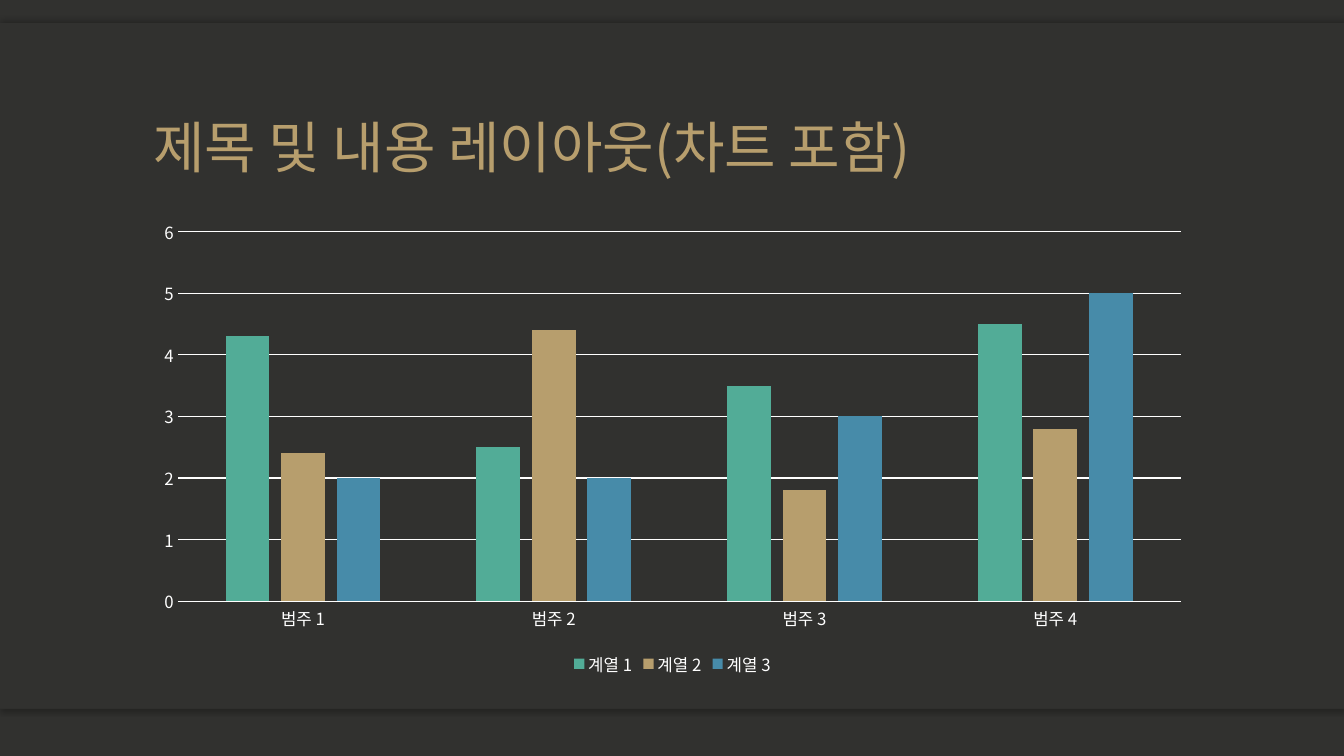
from pptx import Presentation
from pptx import oxml
from pptx.chart.data import CategoryChartData
from pptx.dml.color import RGBColor
from pptx.enum import chart as charts, shapes, text
from pptx.oxml import ns
from pptx.util import Inches, Pt

COLORS = {
    "background": "31312F",
    "white": "FFFFFF",
    "green": "52AC97",
    "gold": "B79E6D",
    "blue": "478BA9",
}
FONT = "Noto Sans CJK KR"
CATEGORIES = ["범주 1", "범주 2", "범주 3", "범주 4"]
SERIES = [
    ("계열 1", (4.3, 2.5, 3.5, 4.5), "green"),
    ("계열 2", (2.4, 4.4, 1.8, 2.8), "gold"),
    ("계열 3", (2, 2, 3, 5), "blue"),
]


def color(name):
    return RGBColor.from_string(COLORS[name])


def set_fill(fill, name):
    fill.solid()
    fill.fore_color.rgb = color(name)


def set_font(font, size, name):
    font.name = FONT
    font.size = Pt(size)
    font.color.rgb = color(name)


def add_east_asian_font(element):
    """Give Korean letters the same typeface as Latin ones."""
    for latin in list(element.iter(ns.qn("a:latin"))):
        east_asian = oxml.parse_xml(f'<a:ea {ns.nsdecls("a")}/>')
        east_asian.set("typeface", latin.get("typeface"))
        latin.addnext(east_asian)


def add_band(page, top, height, shadow_angle=None):
    """Add a full-width band, with a soft shadow if an angle is given."""
    band = page.shapes.add_shape(
        shapes.MSO_SHAPE.RECTANGLE, 0, Inches(top), Inches(13.33), Inches(height))
    set_fill(band.fill, "background")
    band.line.fill.background()
    band.shadow.inherit = False
    if shadow_angle is not None:
        effects = band.element.spPr.find(ns.qn("a:effectLst"))
        effects.append(oxml.parse_xml(
            f'<a:outerShdw {ns.nsdecls("a")} blurRad="{Pt(4)}" dist="{Pt(2)}" '
            f'dir="{shadow_angle * 60000}" algn="ctr" rotWithShape="0">'
            '<a:srgbClr val="000000"><a:alpha val="25000"/></a:srgbClr>'
            '</a:outerShdw>'))


def place_title(page, words):
    title = page.shapes.title
    title.left, title.top = Inches(1.42), Inches(0.46)
    title.width, title.height = Inches(10.5), Inches(1.38)
    frame = title.text_frame
    frame.text = words
    frame.vertical_anchor = text.MSO_ANCHOR.BOTTOM
    para = frame.paragraphs[0]
    para.alignment = text.PP_ALIGN.LEFT
    para.line_spacing = 0.9
    set_font(para.runs[0].font, 40, "gold")
    add_east_asian_font(title.element)
    # The title belongs in front of the bands.
    title.element.getparent().append(title.element)


def style_axes(chart):
    for axis in (chart.category_axis, chart.value_axis):
        axis.major_tick_mark = charts.XL_TICK_MARK.NONE
        axis.minor_tick_mark = charts.XL_TICK_MARK.NONE
        set_font(axis.tick_labels.font, 12, "white")
    chart.value_axis.minimum_scale = 0
    chart.value_axis.maximum_scale = 6
    chart.value_axis.major_unit = 1
    chart.value_axis.format.line.fill.background()
    for line in (chart.category_axis.format.line,
                 chart.value_axis.major_gridlines.format.line):
        set_fill(line.fill, "white")
        line.width = Pt(0.75)


def add_column_chart(page):
    data = CategoryChartData()
    data.categories = CATEGORIES
    for name, values, _ in SERIES:
        data.add_series(name, values)
    chart = page.shapes.add_chart(
        charts.XL_CHART_TYPE.COLUMN_CLUSTERED, Inches(1.42), Inches(2.08),
        Inches(10.5), Inches(4.67), data).chart
    chart.has_title = False
    chart.font.name = "Roboto"
    chart.font.size = Pt(10)
    chart.font.color.rgb = color("white")
    style_axes(chart)

    plot = chart.plots[0]
    plot.vary_by_categories = False
    plot.gap_width = 219
    plot.overlap = -27
    for series, (_, _, name) in zip(plot.series, SERIES):
        set_fill(series.format.fill, name)

    chart.has_legend = True
    chart.legend.position = charts.XL_LEGEND_POSITION.BOTTOM
    chart.legend.include_in_layout = False
    set_font(chart.legend.font, 12, "white")
    add_east_asian_font(chart.element)


def main():
    deck = Presentation()
    deck.slide_width, deck.slide_height = Inches(13.33), Inches(7.5)
    page = deck.slides.add_slide(deck.slide_layouts[5])
    set_fill(page.background.fill, "background")
    add_band(page, 6.54, 0.49, shadow_angle=90)
    add_band(page, 0.23, 0.49, shadow_angle=270)
    add_band(page, 0.23, 6.8)
    place_title(page, "제목 및 내용 레이아웃(차트 포함)")
    add_column_chart(page)
    deck.save("out.pptx")


if __name__ == "__main__":
    main()
